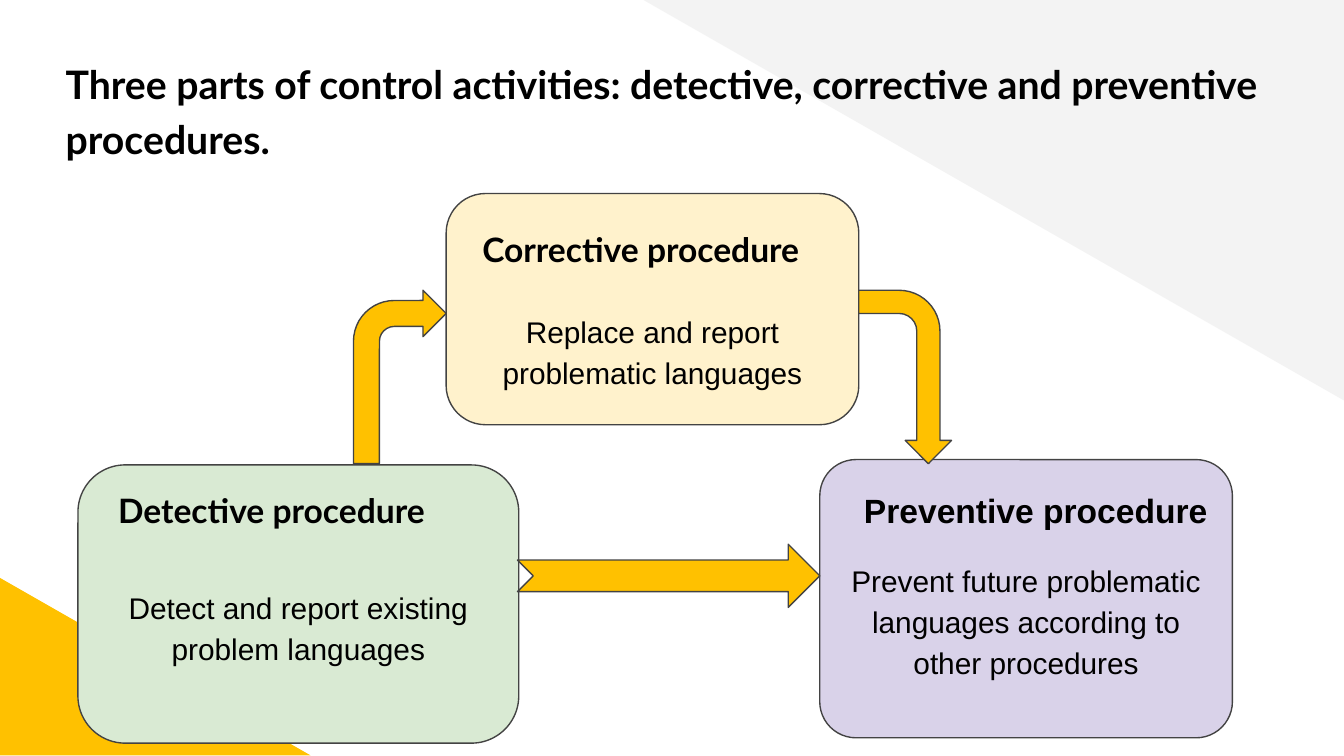
from pptx import Presentation
from pptx.dml.color import RGBColor
from pptx.enum.shapes import MSO_SHAPE
from pptx.enum.text import MSO_ANCHOR, PP_ALIGN
from pptx.util import Inches, Pt

CARD = MSO_SHAPE.ROUNDED_RECTANGLE
WEDGE = MSO_SHAPE.RIGHT_TRIANGLE
BENT = MSO_SHAPE.BENT_ARROW
NOTCHED = MSO_SHAPE.NOTCHED_RIGHT_ARROW
MIDDLE = MSO_ANCHOR.MIDDLE
TOP = MSO_ANCHOR.TOP
LEFT = PP_ALIGN.LEFT
CENTER = PP_ALIGN.CENTER

COLORS = {
    "gray": "F3F3F3",
    "gold": "FFC100",
    "edge": "434343",
    "text": "000000",
    "green": "D9EAD3",
    "cream": "FFF2CC",
    "violet": "D9D2E9",
}


def color(name):
    return RGBColor.from_string(COLORS[name])


def add_form(slide, kind, box, fill, edge=None, turn=0, adjust=()):
    form = slide.shapes.add_shape(kind, *map(Inches, box))
    form.shadow.inherit = False
    form.rotation = turn
    form.fill.solid()
    form.fill.fore_color.rgb = color(fill)
    if edge:
        form.line.color.rgb = color(edge)
        form.line.width = Pt(0.75)
    else:
        form.line.fill.background()
    for i, value in enumerate(adjust):
        form.adjustments[i] = value
    return form


def write(form, text, font, size, bold=False, align=LEFT, anchor=TOP, top=0.1):
    frame = form.text_frame
    frame.word_wrap = True
    frame.vertical_anchor = anchor
    frame.margin_left = frame.margin_right = frame.margin_bottom = Inches(0.1)
    frame.margin_top = Inches(top)
    para = frame.paragraphs[0]
    para.alignment = align
    para.line_spacing = 1.15
    run = para.add_run()
    run.text = text
    run.font.name = font
    run.font.size = Pt(size)
    run.font.bold = bold
    run.font.color.rgb = color("text")


def add_label(slide, box, text, font, size):
    label = slide.shapes.add_textbox(*map(Inches, box))
    write(label, text, font, size, bold=True)


def add_card(slide, box, fill, round_by, text, top):
    card = add_form(slide, CARD, box, fill, "edge", adjust=[round_by])
    write(card, text, "Arial", 16, align=CENTER, anchor=MIDDLE, top=top)


def add_arrow(slide, kind, box, adjust, turn=0):
    add_form(slide, kind, box, "gold", "edge", turn, adjust)


def main():
    deck = Presentation()
    deck.slide_width = Inches(10)
    deck.slide_height = deck.slide_width * 9 // 16
    slide = deck.slides.add_slide(deck.slide_layouts[6])

    add_form(slide, WEDGE, (4.77, -0.01, 5.23, 2.99), "gray", turn=180)
    add_form(slide, WEDGE, (0, 4.3, 2.31, 1.32), "gold")
    add_label(slide, (0.39, 0.3, 9.22, 0.96),
              "Three parts of control activities: detective, corrective "
              "and preventive procedures.", "Lato", 21)

    add_arrow(slide, BENT, (2.63, 2.16, 0.69, 1.29), [0.28, 0.25, 0.25, 0.44])
    add_card(slide, (0.58, 3.46, 3.28, 2.07), "green", 0.17,
             "Detect and report existing problem languages", 0.42)
    add_card(slide, (3.32, 1.44, 3.07, 1.72), "cream", 0.17,
             "Replace and report problematic languages", 0.7)
    add_card(slide, (6.1, 3.42, 3.07, 2.07), "violet", 0.13,
             "Prevent future problematic languages according to "
             "other procedures", 0.4)
    add_arrow(slide, BENT, (6.09, 2.46, 1.29, 0.69),
              [0.25, 0.25, 0.25, 0.44], turn=90)
    add_arrow(slide, NOTCHED, (3.85, 4.05, 2.25, 0.47), [0.5, 0.5])

    for box, text, font in (
        ((0.78, 3.5, 3.69, 0.5), "Detective procedure", "Lato"),
        ((3.49, 1.56, 3.28, 0.5), "Corrective procedure", "Lato"),
        ((6.33, 3.5, 3.28, 0.5), "Preventive procedure", "Arial"),
    ):
        add_label(slide, box, text, font, 18)

    deck.save("out.pptx")


if __name__ == "__main__":
    main()
